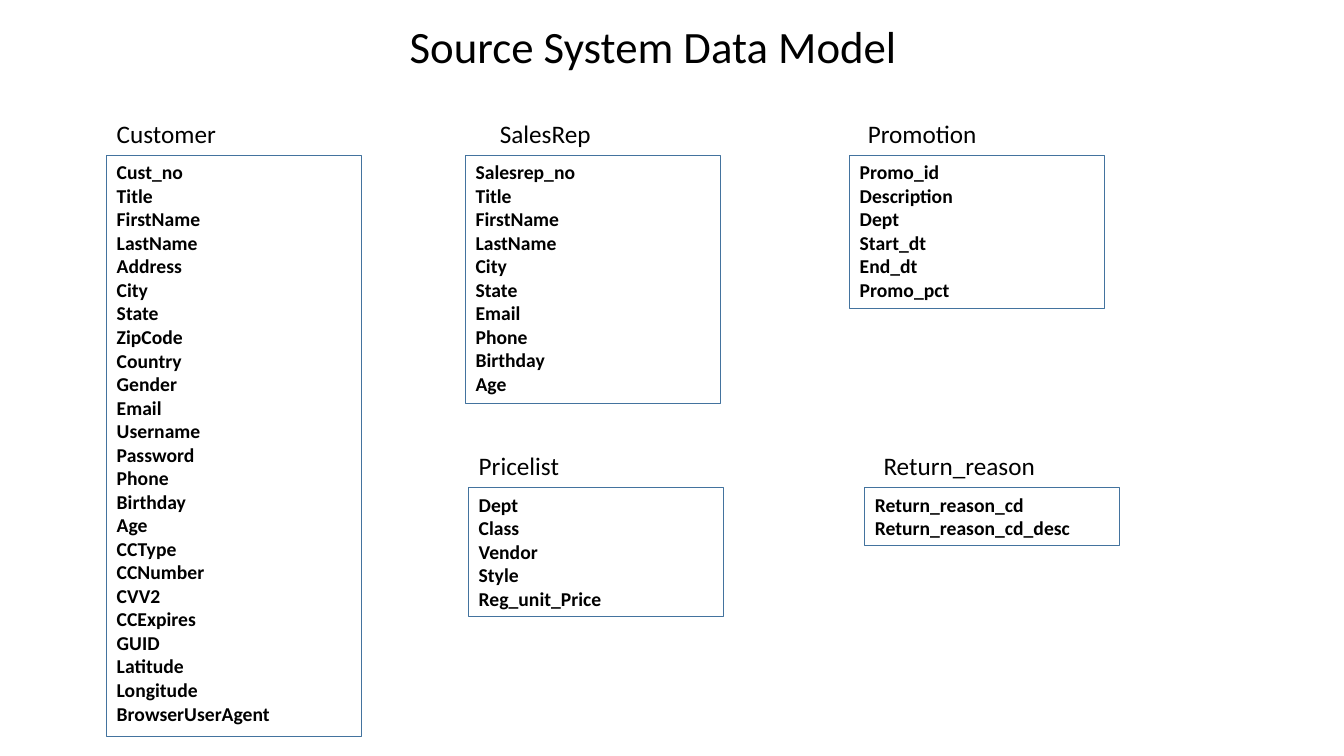
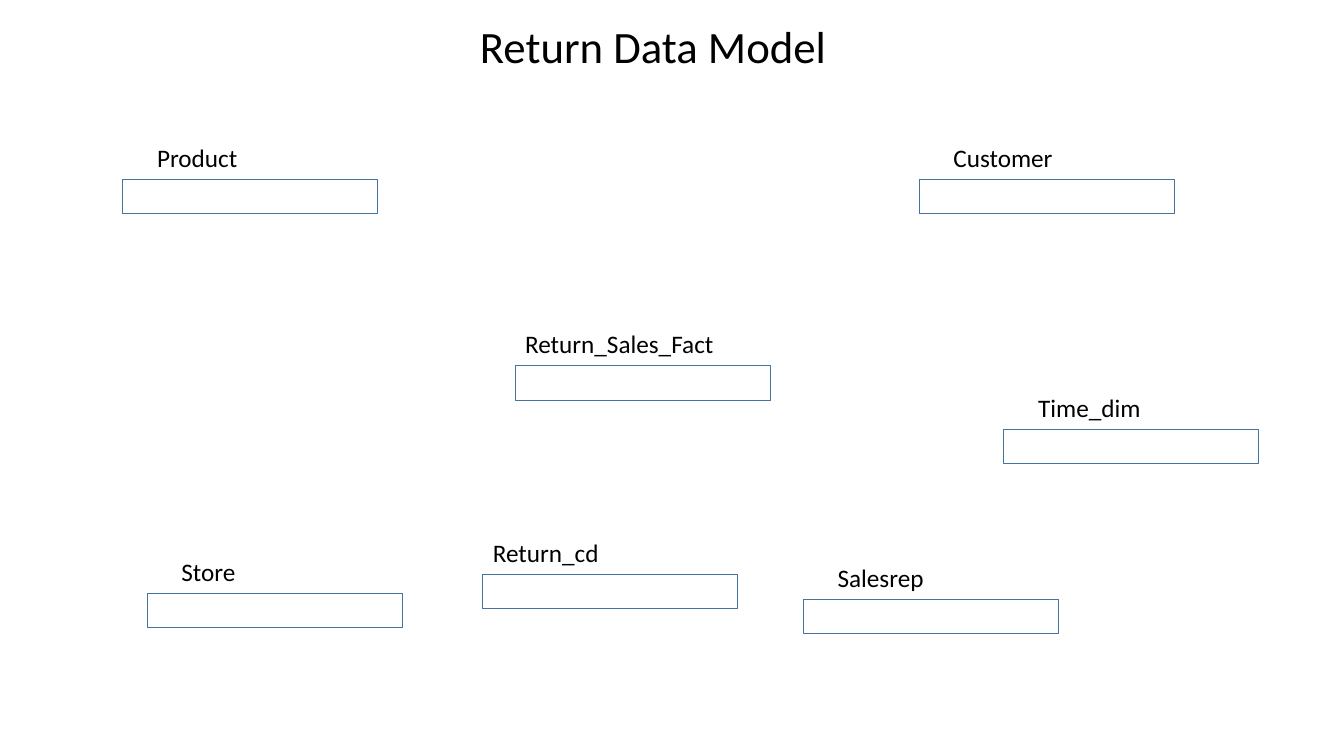
from dataclasses import dataclass

import pptx
import pptx.dml.color
import pptx.enum.shapes
import pptx.enum.text
import pptx.presentation
import pptx.shapes.autoshape
import pptx.slide
import pptx.text.text
import pptx.util

SLIDE_WIDTH = pptx.util.Inches(13.33)
SLIDE_HEIGHT = pptx.util.Inches(7.5)
BLANK_LAYOUT = 6

INK = pptx.dml.color.RGBColor(0x00, 0x00, 0x00)
OUTLINE = pptx.dml.color.RGBColor(0x43, 0x73, 0x9E)
OUTLINE_WIDTH = pptx.util.Pt(0.75)

LEFT = pptx.enum.text.PP_ALIGN.LEFT
CENTER = pptx.enum.text.PP_ALIGN.CENTER

TITLE_FONT = {"name": "Calibri", "size": pptx.util.Pt(32), "bold": False}
LABEL_FONT = {"name": "Calibri", "size": pptx.util.Pt(18), "bold": False}
FIELD_FONT = {"name": "Calibri", "size": pptx.util.Pt(14), "bold": True}
FRAME_FORMAT = {
    "word_wrap": True,
    "vertical_anchor": pptx.enum.text.MSO_ANCHOR.TOP,
    "auto_size": pptx.enum.text.MSO_AUTO_SIZE.SHAPE_TO_FIT_TEXT,
}


@dataclass(frozen=True)
class Area:
    """Position and size in percent of the slide."""

    left: float
    top: float
    width: float
    height: float

    def emu(self) -> tuple[int, int, int, int]:
        return (
            int(SLIDE_WIDTH * self.left / 100),
            int(SLIDE_HEIGHT * self.top / 100),
            int(SLIDE_WIDTH * self.width / 100),
            int(SLIDE_HEIGHT * self.height / 100),
        )


TITLE_AREA = Area(27, 1.87, 43.2, 8.53)
ENTITY_WIDTH = 18.98
EMPTY_HEIGHT = 4.53
FIELD_HEIGHT = 3.15
FIELD_PADDING = 1.33
LABEL_HEIGHT = 5.6
LABEL_WIDTH = 17.18
LABEL_INDENT = 1.8


@dataclass(frozen=True)
class Entity:
    name: str
    left: float
    top: float
    fields: str = ""
    indent: float = LABEL_INDENT
    label_width: float = LABEL_WIDTH

    def box_area(self) -> Area:
        count = len(self.fields.split())
        height = FIELD_PADDING + FIELD_HEIGHT * count if count else EMPTY_HEIGHT
        return Area(self.left, self.top, ENTITY_WIDTH, height)

    def label_area(self) -> Area:
        return Area(self.left + self.indent, self.top - LABEL_HEIGHT,
                    self.label_width, LABEL_HEIGHT)


@dataclass(frozen=True)
class DataModel:
    title: str
    entities: tuple[Entity, ...]


UPPER_ROW = 20.53
LOWER_ROW = 64.53
DIMENSION_ROW = 23.73

DATA_MODELS = (
    DataModel("Source System Data Model", (
        Entity("Customer", 7.95, UPPER_ROW,
               "Cust_no Title FirstName LastName Address City State ZipCode "
               "Country Gender Email Username Password Phone Birthday Age "
               "CCType CCNumber CVV2 CCExpires GUID Latitude Longitude "
               "BrowserUserAgent", indent=0, label_width=ENTITY_WIDTH),
        Entity("SalesRep", 34.65, UPPER_ROW,
               "Salesrep_no Title FirstName LastName City State Email Phone "
               "Birthday Age"),
        Entity("Promotion", 63.23, UPPER_ROW,
               "Promo_id Description Dept Start_dt End_dt Promo_pct",
               indent=0.6),
        Entity("Pricelist", 34.88, LOWER_ROW,
               "Dept Class Vendor Style Reg_unit_Price", indent=0),
        Entity("Return_reason", 64.35, LOWER_ROW,
               "Return_reason_cd Return_reason_cd_desc", indent=0.65),
    )),
    DataModel("Return Data Model", (
        Entity("Return_Sales_Fact", 38.33, 48.4, indent=0, label_width=21.45),
        Entity("Product", 9.15, DIMENSION_ROW),
        Entity("Store", 10.95, 78.53),
        Entity("Customer", 68.4, DIMENSION_ROW),
        Entity("Salesrep", 59.78, 79.33),
        Entity("Time_dim", 74.7, 56.8),
        Entity("Return_cd", 35.93, 76, indent=0),
    )),
)


def apply_format(target: object, values: dict[str, object]) -> None:
    for attribute, value in values.items():
        setattr(target, attribute, value)


def write_lines(frame: pptx.text.text.TextFrame, lines: list[str],
                font: dict[str, object],
                alignment: pptx.enum.text.PP_ALIGN = LEFT) -> None:
    apply_format(frame, FRAME_FORMAT)
    for index, line in enumerate(lines):
        paragraph = frame.add_paragraph() if index else frame.paragraphs[0]
        paragraph.alignment = alignment
        run = paragraph.add_run()
        run.text = line
        apply_format(run.font, font)
        run.font.color.rgb = INK


def draw_text(slide: pptx.slide.Slide, area: Area, text: str,
              font: dict[str, object],
              alignment: pptx.enum.text.PP_ALIGN = LEFT) -> None:
    caption = slide.shapes.add_textbox(*area.emu())
    write_lines(caption.text_frame, [text], font, alignment)


def draw_entity(slide: pptx.slide.Slide, entity: Entity) -> None:
    box: pptx.shapes.autoshape.Shape = slide.shapes.add_shape(
        pptx.enum.shapes.MSO_SHAPE.RECTANGLE, *entity.box_area().emu())
    box.shadow.inherit = False
    box.fill.background()
    box.line.color.rgb = OUTLINE
    box.line.width = OUTLINE_WIDTH
    if entity.fields:
        write_lines(box.text_frame, entity.fields.split(), FIELD_FONT)
    draw_text(slide, entity.label_area(), entity.name, LABEL_FONT)


def draw_model(deck: pptx.presentation.Presentation, model: DataModel) -> None:
    slide = deck.slides.add_slide(deck.slide_layouts[BLANK_LAYOUT])
    draw_text(slide, TITLE_AREA, model.title, TITLE_FONT, CENTER)
    for entity in model.entities:
        draw_entity(slide, entity)


def main() -> None:
    deck = pptx.Presentation()
    deck.slide_width = SLIDE_WIDTH
    deck.slide_height = SLIDE_HEIGHT
    for model in DATA_MODELS:
        draw_model(deck, model)
    deck.save("out.pptx")


if __name__ == "__main__":
    main()
